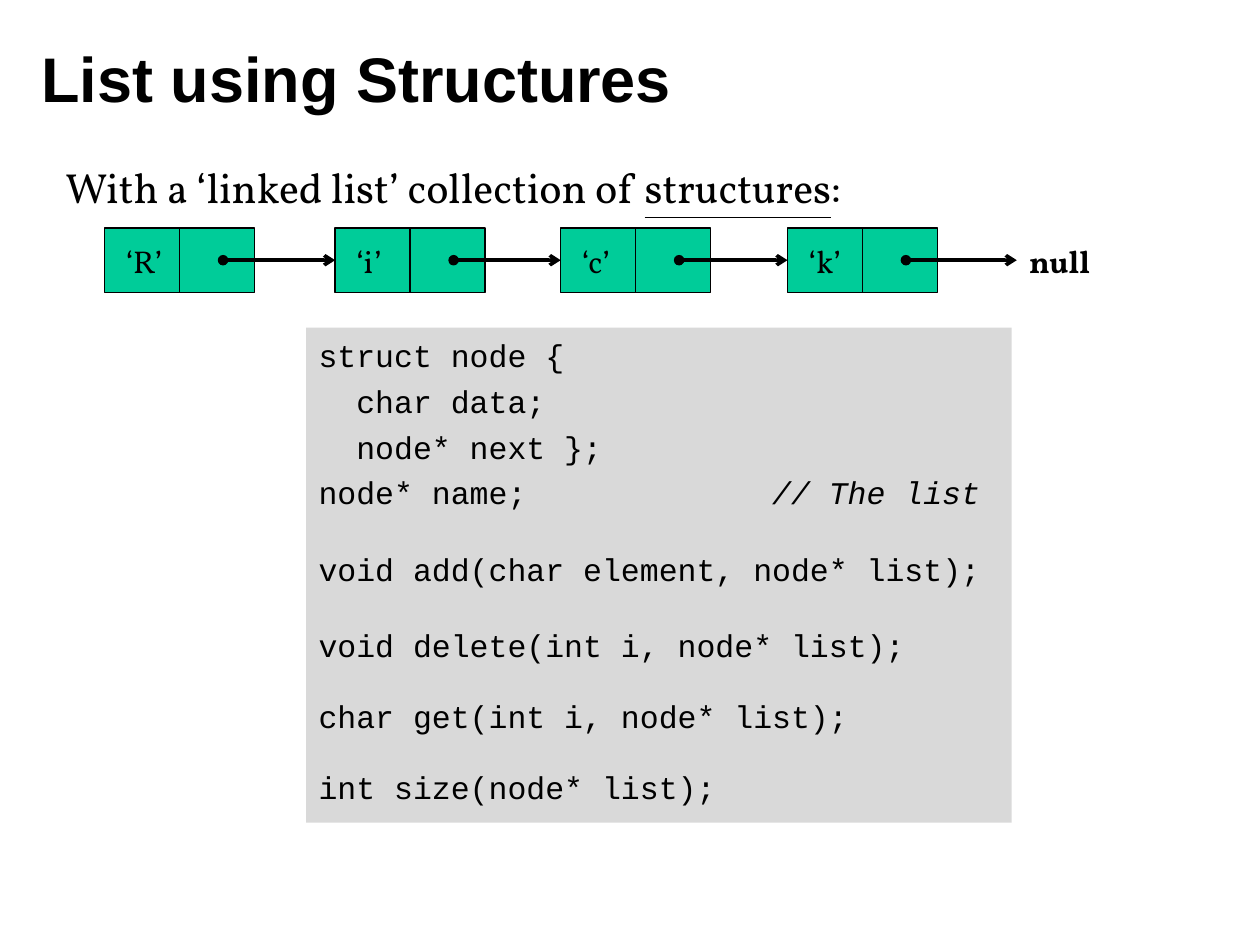
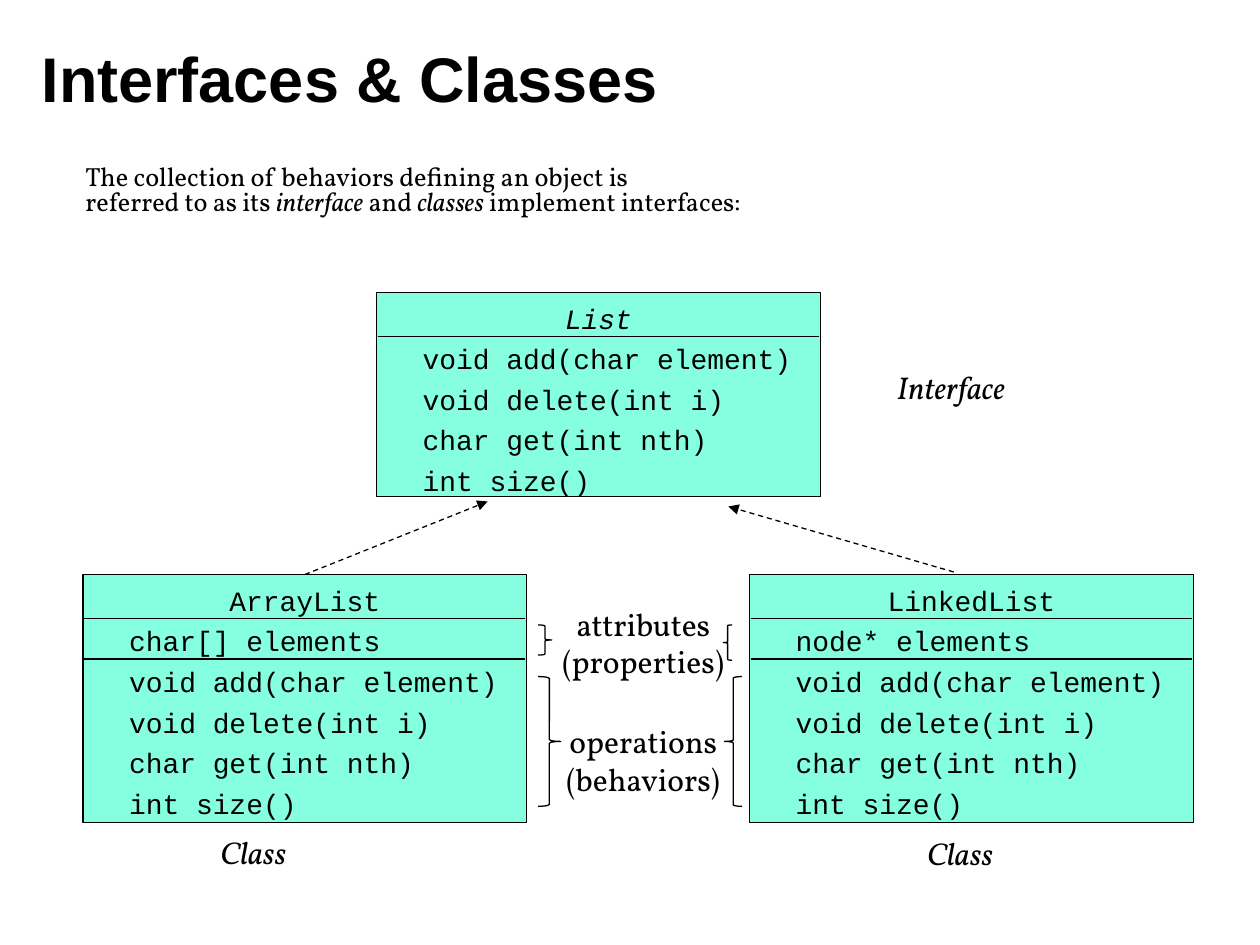
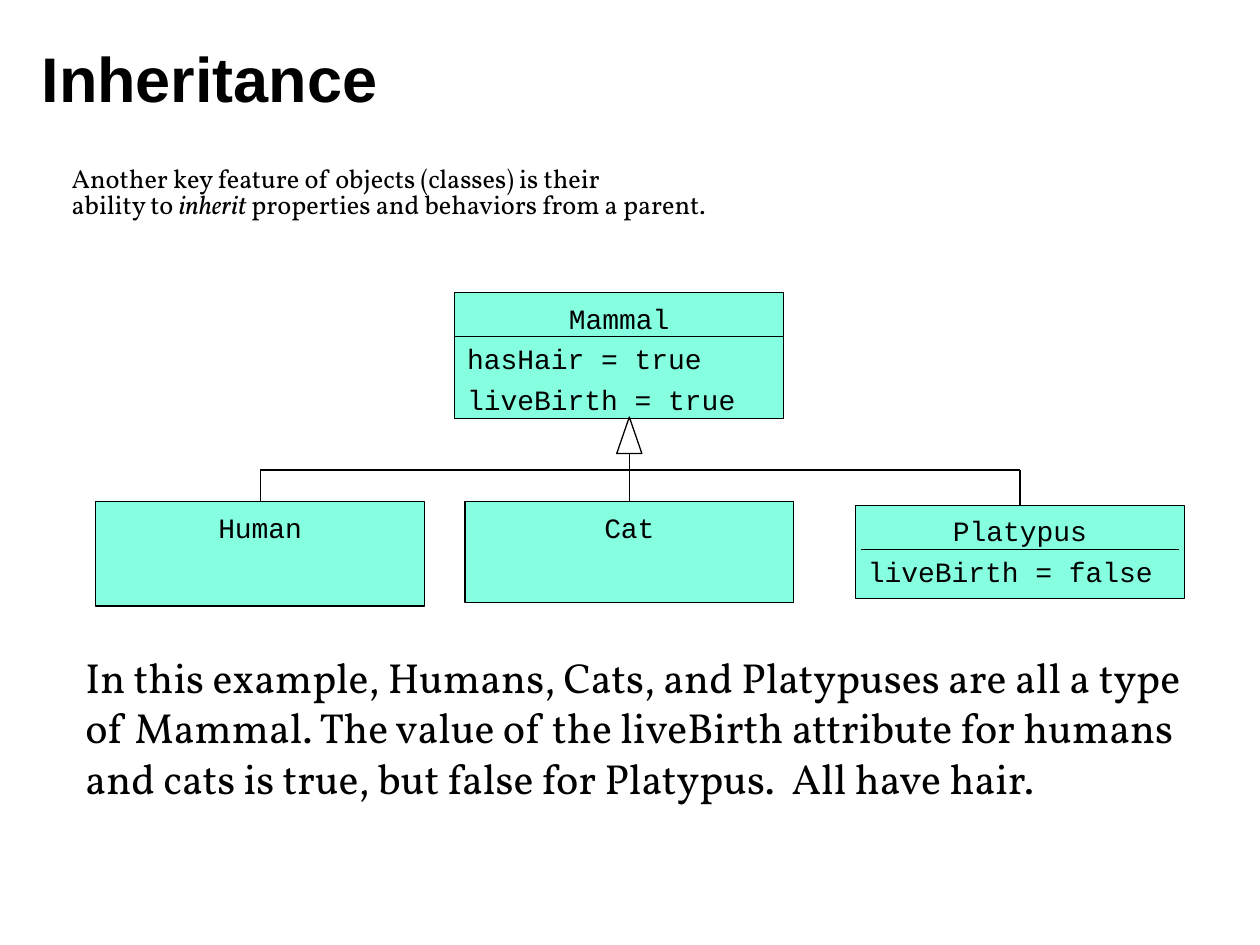
from dataclasses import dataclass

from lxml import etree
from pptx import Presentation
from pptx.dml.color import RGBColor
from pptx.enum.dml import MSO_LINE
from pptx.enum.shapes import MSO_CONNECTOR, MSO_SHAPE
from pptx.enum.text import MSO_ANCHOR, PP_ALIGN
from pptx.oxml.ns import qn
from pptx.util import Inches, Pt

RECT = MSO_SHAPE.RECTANGLE
TRI = MSO_SHAPE.ISOSCELES_TRIANGLE
LBRACE, RBRACE = MSO_SHAPE.LEFT_BRACE, MSO_SHAPE.RIGHT_BRACE
STRAIGHT, DASH = MSO_CONNECTOR.STRAIGHT, MSO_LINE.DASH
LEFT, MID = PP_ALIGN.LEFT, PP_ALIGN.CENTER
TOP_SIDE, LEFT_SIDE = 0, 1


@dataclass(frozen=True)
class Theme:
    ink: RGBColor = RGBColor(0, 0, 0)
    node: RGBColor = RGBColor(0x00, 0xCC, 0x99)
    card: RGBColor = RGBColor(0x85, 0xFF, 0xE0)
    code: RGBColor = RGBColor(0xD9, 0xD9, 0xD9)
    head: str = "Arial"
    body: str = "Vollkorn"
    mono: str = "Courier New"
    title: int = 36
    lead: int = 24
    label: int = 18
    card_size: int = 16
    note: int = 15
    thin: float = 0.75
    thick: float = 2


T = Theme()


def grid(*cells):
    """Turn grid cells (100 columns by 75 rows) into slide lengths."""
    return [Inches(c / 10) for c in cells]


# Text
def style(run, font, size, bold=False):
    run.font.name, run.font.size, run.font.bold = font, Pt(size), bold
    run.font.color.rgb = T.ink


def write(frame, lines, font, size, align=LEFT, bold=False, mark="italic"):
    """Fill a frame; pieces between bars are marked, a newline breaks a line."""
    frame.word_wrap = True
    frame.vertical_anchor = MSO_ANCHOR.TOP
    for i, line in enumerate(lines):
        par = frame.paragraphs[0] if i == 0 else frame.add_paragraph()
        par.alignment = align
        for j, piece in enumerate(line.split("|")):
            for k, part in enumerate(piece.split("\n")):
                if k:
                    par.add_line_break()
                if part:
                    run = par.add_run()
                    run.text = part
                    style(run, font, size, bold)
                    if j % 2:
                        setattr(run.font, mark, True)
        for br in par._p.findall(qn("a:br")):
            etree.SubElement(br, qn("a:rPr"), sz=str(size * 100))
    return frame.paragraphs


def text(slide, box, lines, size, **look):
    frame = slide.shapes.add_textbox(*grid(*box)).text_frame
    return write(frame, lines, T.body, size, **look)


def mono(shape, lines, size):
    """Code lines with even pitch."""
    frame = shape.text_frame
    frame.margin_top = Inches(0.07)
    pars = write(frame, lines, T.mono, size)
    for i, par in enumerate(pars):
        par.line_spacing = Pt(size * 1.2)
        par.space_before = Pt(size / 4 if i else 0)
    return pars


# Shapes and lines
def block(slide, box, fill=None, kind=RECT, edge=True):
    shape = slide.shapes.add_shape(kind, *grid(*box))
    shape.shadow.inherit = False
    if fill is None:
        shape.fill.background()
    else:
        shape.fill.solid()
        shape.fill.fore_color.rgb = fill
    if edge:
        shape.line.color.rgb = T.ink
        shape.line.width = Pt(T.thin)
    else:
        shape.line.fill.background()
    return shape


def wire(slide, start, end, width=T.thin, head=None, tail=None):
    link = slide.shapes.add_connector(STRAIGHT, *grid(*start, *end))
    link.line.color.rgb = T.ink
    link.line.width = Pt(width)
    etree.SubElement(link._element.spPr, qn("a:effectLst"))
    ln = link.line._get_or_add_ln()
    for tag, kind in (("a:headEnd", head), ("a:tailEnd", tail)):
        if kind:
            etree.SubElement(ln, qn(tag), type=kind)
    return link


def page(deck, title):
    slide = deck.slides.add_slide(deck.slide_layouts[5])
    head = slide.shapes.title
    head.left, head.top, head.width, head.height = grid(2.3, 1.5, 80.3, 9.3)
    write(head.text_frame, [title], T.head, T.title, bold=True)
    head.text_frame.vertical_anchor = MSO_ANCHOR.MIDDLE
    return slide


def intro(slide, box, words):
    text(slide, box, [words], T.note)[0].line_spacing = 0.8


# Linked list
def node(slide, box, char):
    x, y, w, h = box
    cell = block(slide, box, T.node)
    text(slide, (x + 0.7, y + 0.6, w / 2, 4), [char], T.label)
    wire(slide, (x + w / 2, y + h), (x + w / 2, y))
    return cell


def chain(slide, y, starts, chars):
    w, h, stop = 11.9, 5.1, 80.7
    cells = [node(slide, (x, y, w, h), c) for x, c in zip(starts, chars)]
    for i, x in enumerate(starts):
        end = starts[i + 1] if i + 1 < len(starts) else stop
        link = wire(slide, (x + w * 0.79, y + h / 2), (end, y + h / 2),
                    T.thick, "oval", "arrow")
        if end != stop:
            link.end_connect(cells[i + 1], LEFT_SIDE)
    text(slide, (stop, y + 0.6, 9, 4), ["null"], T.label, bold=True)


def listing(slide, box):
    lines = ["struct node {", "  char data;", "  node* next };",
             "node* name;\t|// The list|",
             "void add(char element, node* list);",
             "void delete(int i, node* list);",
             "char get(int i, node* list);", "int size(node* list);"]
    pars = mono(block(slide, box, T.code, edge=False), lines, T.label)
    # Comment column
    tabs = etree.SubElement(pars[3]._p.get_or_add_pPr(), qn("a:tabLst"))
    etree.SubElement(tabs, qn("a:tab"), pos=str(Inches(3.6)), algn="l")
    for par, gap in zip(pars[4:], (22, 22, 19, 19)):
        par.space_before = Pt(gap)


# Class diagrams
def card(slide, box, name, rows=(), rules=0, inset=0.1):
    x, y, w, _ = box
    shape = block(slide, box, T.card)
    mono(shape, [name, *rows], T.card_size)[0].alignment = MID
    for i in range(rules):
        level = y + 3.5 + 3.2 * i
        wire(slide, (x + inset, level), (x + w - inset, level))
    return shape


def list_page(deck):
    slide = page(deck, "List using Structures")
    text(slide, (4.2, 12.3, 72.1, 5.2),
         ["With a ‘linked list’ collection of |structures|:"],
         T.lead, mark="underline")
    chain(slide, 18.1, (8.3, 26.6, 44.5, 62.5), ("‘R’", "‘i’", "‘c’", "‘k’"))
    listing(slide, (24.3, 26, 56, 39.3))


def class_page(deck):
    slide = page(deck, "Interfaces & Classes")
    intro(slide, (5.8, 12.7, 89.9, 8.4),
          "The collection of behaviors defining an object is\n"
          "referred to as its |interface| and |classes| implement interfaces:")

    # Interface and its two classes
    acts = ["  void add(char element)", "  void delete(int i)",
            "  char get(int nth)", "  int size()"]
    wide, tall, row = 35.2, 19.7, 45.6
    card(slide, (29.9, 23.2, wide, 16.2), "|List|", acts, 1)
    array = card(slide, (6.6, row, wide, tall), "ArrayList",
                 ["  char[] elements", *acts], 2)
    card(slide, (59.5, row, wide, tall), "LinkedList",
         ["  node* elements", *acts], 2)
    left = wire(slide, (24.2, row), (38.7, 39.8), tail="triangle")
    left.begin_connect(array, TOP_SIDE)
    right = wire(slide, (75.7, 45.4), (57.8, 40.2), tail="triangle")
    for link in (left, right):
        link.line.dash_style = DASH

    # Braces and labels
    for box, kind in (((42.7, 49.6, 1.1, 2.4), RBRACE),
                      ((57.4, 49.6, 0.7, 2.8), LBRACE),
                      ((42.7, 53.7, 1.8, 10.3), RBRACE),
                      ((57.5, 53.7, 1.4, 10.3), LBRACE)):
        block(slide, box, kind=kind)
    for y, lines in ((47.5, ["attributes", "(properties)"]),
                     (56.8, ["operations", "(behaviors)"])):
        text(slide, (43, y, 16.1, 7), lines, T.label, align=MID)
    for x, y, word in ((70.2, 28.7, "Interface"), (16.5, 65.6, "Class"),
                       (72.6, 65.7, "Class")):
        text(slide, (x, y, 12.4, 4), [f"|{word}|"], T.label)


def tree_page(deck):
    slide = page(deck, "Inheritance")
    intro(slide, (4.7, 12.9, 92.1, 9.5),
          "Another key feature of objects (classes) is their \n"
          "ability to |inherit| properties and behaviors from a parent.")

    # Parent and children
    wide, bar = 26.1, 37.3
    card(slide, (36.1, 23.2, wide, 10), "Mammal",
         ["hasHair = true", "liveBirth = true"], 1, 0)
    kids = ((7.6, 39.8, 8.3, "Human", [], 0),
            (36.9, 39.8, 8, "Cat", [], 0),
            (67.9, 40.1, 7.4, "Platypus", ["liveBirth = false"], 1))
    mids = [kid[0] + wide / 2 for kid in kids]
    for mid, (x, y, h, name, rows, rules) in zip(mids, kids):
        shape = card(slide, (x, y, wide, h), name, rows, rules, 0.4)
        start = 36 if name == "Cat" else bar
        wire(slide, (mid, start), (mid, y)).end_connect(shape, TOP_SIDE)
    wire(slide, (mids[0], bar), (mids[-1], bar))
    block(slide, (mids[1] - 1, 33.1, 2, 2.9), kind=TRI)

    text(slide, (5.8, 51.2, 92, 14.1),
         ["In this example, Humans, Cats, and Platypuses are all a type of "
          "Mammal. The value of the liveBirth attribute for humans and cats "
          "is true, but false for Platypus.  All have hair."], T.lead)


def main():
    deck = Presentation()
    deck.slide_width, deck.slide_height = grid(100, 75)
    for build in (list_page, class_page, tree_page):
        build(deck)
    deck.save("out.pptx")


if __name__ == "__main__":
    main()
